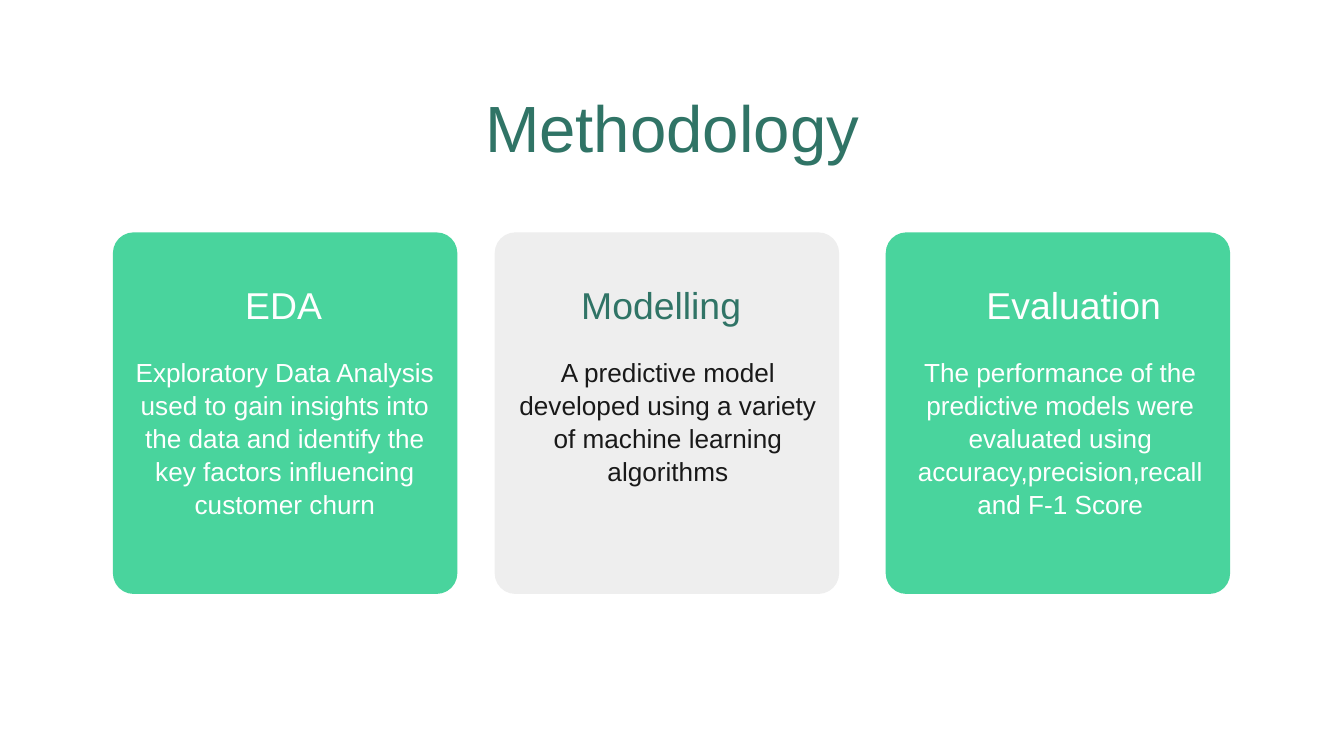
from dataclasses import dataclass

from pptx import Presentation
from pptx.dml.color import RGBColor
from pptx.enum import shapes, text
from pptx.util import Pt

GREEN, GREY, TEAL, INK, WHITE = "49D49D", "EEEEEE", "307466", "191919", "FFFFFF"


def colour(value):
    return RGBColor.from_string(value)


@dataclass
class Stage:
    name: str
    summary: str
    fill: str
    name_colour: str
    summary_colour: str
    card_left: float
    name_left: float
    summary_left: float
    summary_height: float = 82.8


class Board:
    font = "Arial"
    frame_format = {
        "word_wrap": True,
        "auto_size": text.MSO_AUTO_SIZE.NONE,
        "margin_left": Pt(7.2),
        "margin_top": Pt(7.2),
        "margin_right": Pt(7.2),
        "margin_bottom": Pt(7.2),
    }

    def __init__(self, slide):
        self.slide = slide

    def apply(self, target, values):
        for key, value in values.items():
            setattr(target, key, value)

    def card(self, left, top, width, height, fill):
        card = self.slide.shapes.add_shape(
            shapes.MSO_SHAPE.ROUNDED_RECTANGLE, Pt(left), Pt(top), Pt(width), Pt(height))
        card.adjustments[0] = 0.06
        card.shadow.inherit = False
        card.fill.solid()
        card.fill.fore_color.rgb = colour(fill)
        card.line.fill.background()

    def label(self, words, left, top, width, height, size, tint,
              anchor=text.MSO_ANCHOR.TOP, spacing=1.05):
        label = self.slide.shapes.add_textbox(Pt(left), Pt(top), Pt(width), Pt(height))
        frame = label.text_frame
        self.apply(frame, self.frame_format | {"vertical_anchor": anchor})
        paragraph = frame.paragraphs[0]
        self.apply(paragraph, {"alignment": text.PP_ALIGN.CENTER, "line_spacing": spacing})
        run = paragraph.add_run()
        run.text = words
        self.apply(run.font, {"name": self.font, "size": Pt(size)})
        run.font.color.rgb = colour(tint)


STAGES = [
    Stage("EDA",
          "Exploratory Data Analysis used to gain insights into the data and identify "
          "the key factors influencing customer churn",
          GREEN, WHITE, WHITE, 60.5, 64.1, 64.8),
    Stage("Modelling",
          "A predictive model developed using a variety of machine learning algorithms",
          GREY, TEAL, INK, 265, 266.4, 270),
    Stage("Evaluation",
          "The performance of the predictive models were evaluated using "
          "accuracy,precision,recall and F-1 Score",
          GREEN, WHITE, WHITE, 474.5, 487.4, 480.2, 97.9),
]


def main():
    deck = Presentation()
    deck.slide_width, deck.slide_height = Pt(720), Pt(405)
    board = Board(deck.slides.add_slide(deck.slide_layouts[6]))

    for stage in STAGES:
        board.card(stage.card_left, 124.5, 184.5, 193.7, stage.fill)
    board.label("Methodology", 56.7, 35.3, 607, 45.4, 35, TEAL, spacing=1.1)
    for stage in STAGES:
        board.label(stage.summary, stage.summary_left, 182.9, 175.7,
                    stage.summary_height, 14, stage.summary_colour)
        board.label(stage.name, stage.name_left, 141.8, 175.7, 41.8, 20,
                    stage.name_colour, text.MSO_ANCHOR.MIDDLE)

    deck.save("out.pptx")


if __name__ == "__main__":
    main()
